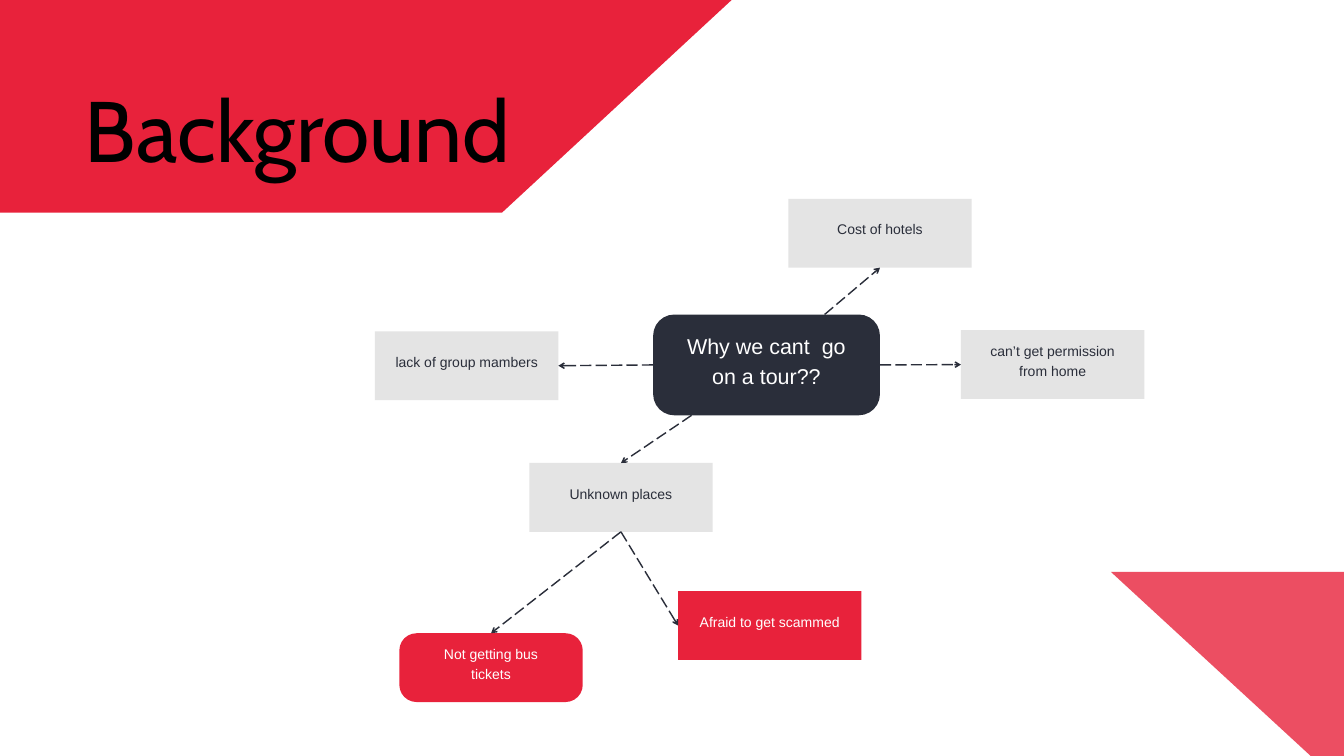
from lxml.etree import SubElement
from pptx import Presentation
from pptx.dml.color import RGBColor
from pptx.enum.dml import MSO_LINE
from pptx.enum.shapes import MSO_CONNECTOR, MSO_SHAPE as Shape
from pptx.enum.text import MSO_ANCHOR as Anchor, MSO_AUTO_SIZE as AutoSize, PP_ALIGN as Align
from pptx.oxml.ns import qn
from pptx.util import Pt

COLORS = {"red": "E8223B", "dark": "2A2E3A", "grey": "E4E4E4", "white": "FFFFFF", "black": "000000"}
TOP, LEFT, BOTTOM, RIGHT = range(4)
LEAF_SIZE = (196.5, 73.7)


def color(name):
    return RGBColor.from_string(COLORS[name])


class MindMap:
    """Style and drawing methods for one mind map slide."""

    def __init__(self, deck):
        self.page = deck.slides.add_slide(deck.slide_layouts[5])
        self.shapes = self.page.shapes

    def label(self, frame, text, font, size, ink, spacing):
        frame.word_wrap = True
        frame.text = text
        para = frame.paragraphs[0]
        para.alignment = Align.CENTER
        para.line_spacing = Pt(spacing)
        para.font.name = font
        para.font.size = Pt(size)
        para.font.color.rgb = color(ink)

    def shape(self, kind, place, fill, adjust=None):
        shape = self.shapes.add_shape(kind, *map(Pt, place))
        shape.shadow.inherit = False
        shape.fill.solid()
        shape.fill.fore_color.rgb = color(fill)
        shape.line.fill.background()
        if adjust is not None:
            shape.adjustments[0] = adjust
        return shape

    def decoration(self, kind, place, adjust=None, opacity=100):
        shape = self.shape(kind, place, "red", adjust)
        shape.rotation = 180
        if opacity < 100:
            tint = next(shape.element.spPr.iter(qn("a:srgbClr")))
            SubElement(tint, qn("a:alpha"), val=str(opacity * 1000))

    def title(self, text, place):
        title = self.shapes.title
        title.left, title.top, title.width, title.height = map(Pt, place)
        frame = title.text_frame
        frame.auto_size = AutoSize.NONE
        frame.vertical_anchor = Anchor.TOP
        frame.margin_left = frame.margin_right = frame.margin_top = frame.margin_bottom = 0
        self.label(frame, text, "Cabin", 92, "black", 128.8)
        self.shapes.element.append(title.element)

    def box(self, text, place, fill, ink, corner=None, size=15, inset_top=8.6):
        kind = Shape.ROUNDED_RECTANGLE if corner else Shape.RECTANGLE
        box = self.shape(kind, place, fill, corner)
        frame = box.text_frame
        frame.vertical_anchor = Anchor.MIDDLE
        frame.margin_left = frame.margin_right = frame.margin_bottom = Pt(20)
        frame.margin_top = Pt(inset_top)
        self.label(frame, text, "Arial", size, ink, size * 1.4)
        return box

    def leaf(self, text, left, top, fill="grey", ink="dark", corner=None):
        return self.box(text, (left, top, *LEAF_SIZE), fill, ink, corner)

    def arrow(self, start, box, side):
        x, y = map(Pt, start)
        arrow = self.shapes.add_connector(MSO_CONNECTOR.STRAIGHT, x, y, x, y)
        arrow.end_connect(box, side)
        arrow.line.color.rgb = color("dark")
        arrow.line.width = Pt(1.5)
        arrow.line.dash_style = MSO_LINE.LONG_DASH
        properties = arrow.element.spPr
        SubElement(properties.find(qn("a:ln")), qn("a:tailEnd"), type="arrow")
        SubElement(properties, qn("a:effectLst"))


def main():
    deck = Presentation()
    deck.slide_width, deck.slide_height = Pt(1440), Pt(810)
    mind_map = MindMap(deck)

    mind_map.box("Why we cant  go on a tour??", (699.8, 337, 243, 108),
                 "dark", "white", corner=0.21, size=23, inset_top=6.5)
    members = mind_map.leaf("lack of group mambers", 401.8, 355)
    hotels = mind_map.leaf("Cost of hotels", 844.6, 213.1)
    places = mind_map.leaf("Unknown places", 567.1, 496.1)
    permission = mind_map.leaf("can’t get permission from home", 1029.6, 353.8)
    tickets = mind_map.leaf("Not getting bus tickets", 427.9, 678.5, "red", "white", 0.25)
    scam = mind_map.leaf("Afraid to get scammed", 726.5, 633.4, "red", "white")

    places_foot = (665.3, 569.8)
    for start, box, side in [
        ((942.8, 391), permission, LEFT),
        ((883.5, 337), hotels, BOTTOM),
        ((741, 445), places, TOP),
        ((699.8, 391), members, RIGHT),
        (places_foot, tickets, TOP),
        (places_foot, scam, LEFT),
    ]:
        mind_map.arrow(start, box, side)

    mind_map.decoration(Shape.TRAPEZOID, (-337, -37.7, 1161.6, 265.4), adjust=1.08)
    mind_map.title("Background", (49, 64, 540, 123))
    mind_map.decoration(Shape.ISOSCELES_TRIANGLE, (1190.2, 612.7, 604.8, 278.6), opacity=80)
    deck.save("out.pptx")


if __name__ == "__main__":
    main()
